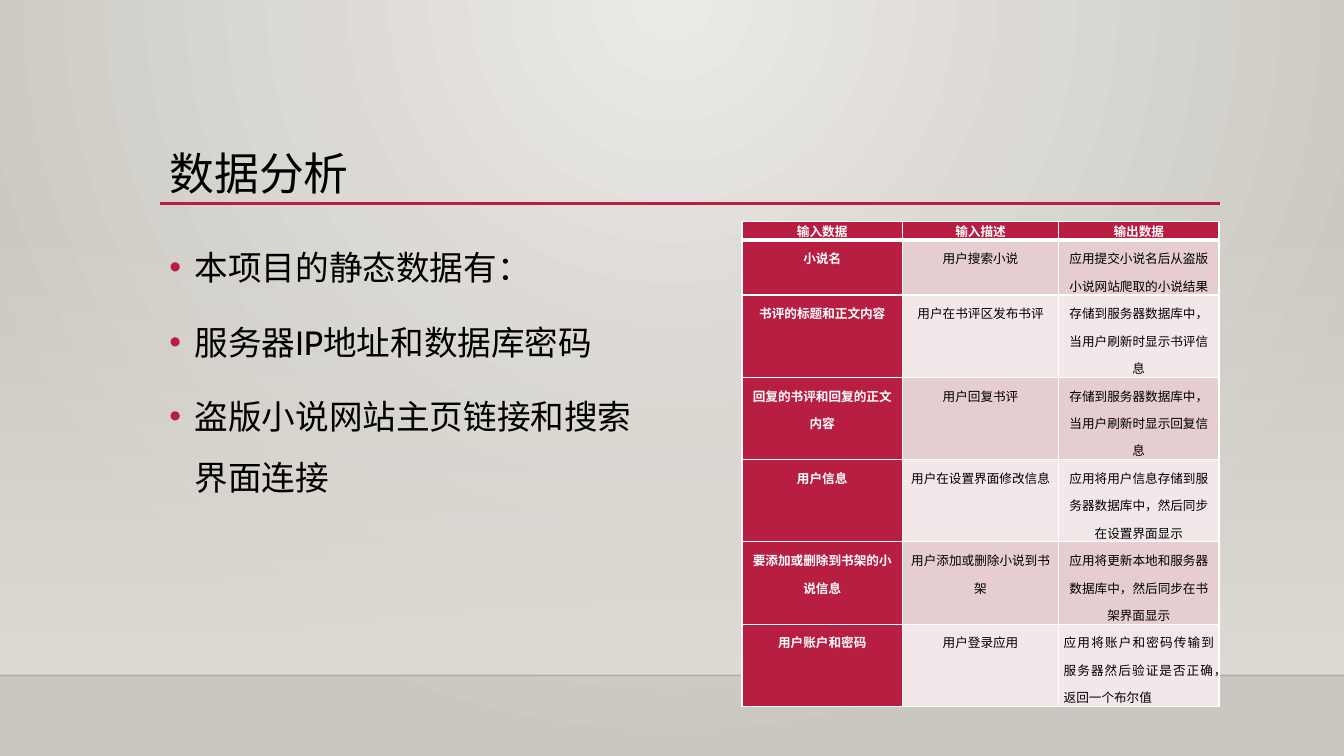
from pptx import Presentation
from pptx.dml.color import RGBColor
from pptx.enum.shapes import MSO_CONNECTOR, MSO_SHAPE
from pptx.enum.text import MSO_ANCHOR, MSO_AUTO_SIZE, PP_ALIGN
from pptx.oxml import parse_xml
from pptx.oxml.ns import nsdecls, qn
from pptx.util import Inches, Pt

STRAIGHT, RECTANGLE = MSO_CONNECTOR.STRAIGHT, MSO_SHAPE.RECTANGLE
TOP, BOTTOM = MSO_ANCHOR.TOP, MSO_ANCHOR.BOTTOM
CENTER, JUSTIFY = PP_ALIGN.CENTER, PP_ALIGN.JUSTIFY
NO_FIT = MSO_AUTO_SIZE.NONE

FONT = "Cabin"
RED, WHITE, BLACK = "B71E42", "FFFFFF", "000000"
BANDS = ["F3E8E9", "E6CDCF"]
PANEL_COLOR = "DFDBD5"

BULLETS = ["本项目的静态数据有：", "服务器IP地址和数据库密码", "盗版小说网站主页链接和搜索界面连接"]
COLUMN_WIDTHS = [1.59, 1.55, 1.59]
ROW_HEIGHTS = [0.14, 0.43] + [0.64] * 5
DATA_ROWS = [
    ["输入数据", "输入描述", "输出数据"],
    ["小说名", "用户搜索小说", "应用提交小说名后从盗版小说网站爬取的小说结果"],
    ["书评的标题和正文内容", "用户在书评区发布书评", "存储到服务器数据库中，当用户刷新时显示书评信息"],
    ["回复的书评和回复的正文内容", "用户回复书评", "存储到服务器数据库中，当用户刷新时显示回复信息"],
    ["用户信息", "用户在设置界面修改信息", "应用将用户信息存储到服务器数据库中，然后同步在设置界面显示"],
    ["要添加或删除到书架的小说信息", "用户添加或删除小说到书架",
     "应用将更新本地和服务器数据库中，然后同步在书架界面显示"],
    ["用户账户和密码", "用户登录应用", "应用将账户和密码传输到服务器然后验证是否正确，返回一个布尔值"],
]


def color(value):
    return RGBColor.from_string(value)


def apply(target, values):
    for name, value in values.items():
        setattr(target, name, value)


def set_gradient(parent, stops, direction):
    """Swap the solid fill of parent for a gradient of (position, colour, opacity) stops."""
    stop_xml = "".join(
        f'<a:gs pos="{position * 1000}"><a:srgbClr val="{value}">'
        f'<a:alpha val="{opacity * 1000}"/></a:srgbClr></a:gs>'
        for position, value, opacity in stops)
    gradient = parse_xml(f'<a:gradFill {nsdecls("a")} rotWithShape="1">'
                         f'<a:gsLst>{stop_xml}</a:gsLst>{direction}</a:gradFill>')
    parent.replace(parent.find(qn("a:solidFill")), gradient)


def add_rule(page, left, right, top, value, width, opacity=100):
    rule = page.shapes.add_connector(STRAIGHT, Inches(left), Inches(top), Inches(right), Inches(top))
    rule.line.width = Pt(width)
    rule.line.color.rgb = color(value)
    properties = rule._element.spPr
    properties.append(parse_xml(f'<a:effectLst {nsdecls("a")}/>'))
    if opacity < 100:
        properties.find(".//" + qn("a:srgbClr")).append(
            parse_xml(f'<a:alpha {nsdecls("a")} val="{opacity * 1000}"/>'))


def add_backdrop(page):
    page.background.fill.solid()
    set_gradient(page.element.find(".//" + qn("p:bgPr")),
                 [(0, "ECEAE7", 100), (100, "CAC7C1", 100)],
                 '<a:path path="circle"><a:fillToRect l="43000" t="0" r="43000" b="100000"/></a:path>')
    panel = page.shapes.add_shape(RECTANGLE, 0, Inches(2.21), Inches(13.33), Inches(4.49))
    panel.shadow.inherit = False
    panel.line.fill.background()
    panel.fill.solid()
    set_gradient(panel._element.spPr, [(0, PANEL_COLOR, 0), (100, PANEL_COLOR, 100)],
                 '<a:lin ang="5400000" scaled="0"/>')
    add_rule(page, 0, 13.33, 6.7, "000001", 1, opacity=20)
    add_rule(page, 1.59, 12.1, 2.02, RED, 2.5)


def write_para(para, text, size, value, bold, layout):
    span = para.add_run()
    span.text = text
    apply(span.font, {"name": FONT, "size": Pt(size), "bold": bold})
    span.font.color.rgb = color(value)
    apply(para, layout)


def add_bullet(para):
    properties = para._p.get_or_add_pPr()
    properties.set("marL", str(Inches(0.25)))
    properties.set("indent", str(-Inches(0.25)))
    for markup in (f'<a:buClr {nsdecls("a")}><a:srgbClr val="{RED}"/></a:buClr>',
                   f'<a:buFont {nsdecls("a")} typeface="Arial"/>',
                   f'<a:buChar {nsdecls("a")} char="•"/>'):
        properties.append(parse_xml(markup))


def fill_placeholder(page, box, place, anchor, lines, size, layout, bulleted=False):
    page.shapes._spTree.append(box._element)  # bring in front of the backdrop
    apply(box, dict(zip(("left", "top", "width", "height"), map(Inches, place))))
    frame = box.text_frame
    apply(frame, {"word_wrap": True, "auto_size": NO_FIT, "vertical_anchor": anchor})
    for index, line in enumerate(lines):
        para = frame.add_paragraph() if index else frame.paragraphs[0]
        write_para(para, line, size, BLACK, False, layout)
        if bulleted:
            add_bullet(para)


def set_borders(cell, widths):
    properties = cell._tc.get_or_add_tcPr()
    for index, (side, width) in enumerate(widths.items()):
        properties.insert(index, parse_xml(
            f'<a:ln{side} {nsdecls("a")} w="{Pt(width)}"><a:solidFill>'
            f'<a:srgbClr val="{WHITE}"/></a:solidFill></a:ln{side}>'))


def add_data_table(page):
    frame = page.shapes.add_table(len(DATA_ROWS), len(COLUMN_WIDTHS), Inches(7.36), Inches(2.2),
                                  Inches(sum(COLUMN_WIDTHS)), Inches(sum(ROW_HEIGHTS)))
    table = frame.table
    for column, width in zip(table.columns, COLUMN_WIDTHS):
        column.width = Inches(width)
    for row, height in zip(table.rows, ROW_HEIGHTS):
        row.height = Inches(height)
    last = len(DATA_ROWS) - 1, len(COLUMN_WIDTHS) - 1
    for row, texts in enumerate(DATA_ROWS):
        for column, text in enumerate(texts):
            cell = table.cell(row, column)
            heading = row == 0 or column == 0
            apply(cell, {"margin_left": Inches(0.05), "margin_right": Inches(0.05),
                         "margin_top": 0, "margin_bottom": 0, "vertical_anchor": TOP})
            cell.fill.solid()
            cell.fill.fore_color.rgb = color(RED if heading else BANDS[row % 2])
            set_borders(cell, {"L": 1, "R": 1, "T": 3 if row == 1 else 1, "B": 3 if row == 0 else 1})
            layout = {"alignment": JUSTIFY if (row, column) == last else CENTER,
                      "line_spacing": 1.5 if row else 1.0}
            write_para(cell.text_frame.paragraphs[0], text, 9, WHITE if heading else BLACK,
                       heading, layout)


def main():
    deck = Presentation()
    apply(deck, {"slide_width": Inches(13.33), "slide_height": Inches(7.5)})
    page = deck.slides.add_slide(deck.slide_layouts[1])
    title, body = page.shapes.title, page.placeholders[1]
    add_backdrop(page)
    fill_placeholder(page, title, (1.58, 0.88, 10.5, 1.16), BOTTOM, ["数据分析"], 32,
                     {"alignment": PP_ALIGN.LEFT, "line_spacing": 0.9})
    fill_placeholder(page, body, (1.58, 2.2, 5.08, 3.77), TOP, BULLETS, 24,
                     {"line_spacing": 1.5, "space_before": Pt(10)}, bulleted=True)
    add_data_table(page)
    deck.save("out.pptx")


main()
